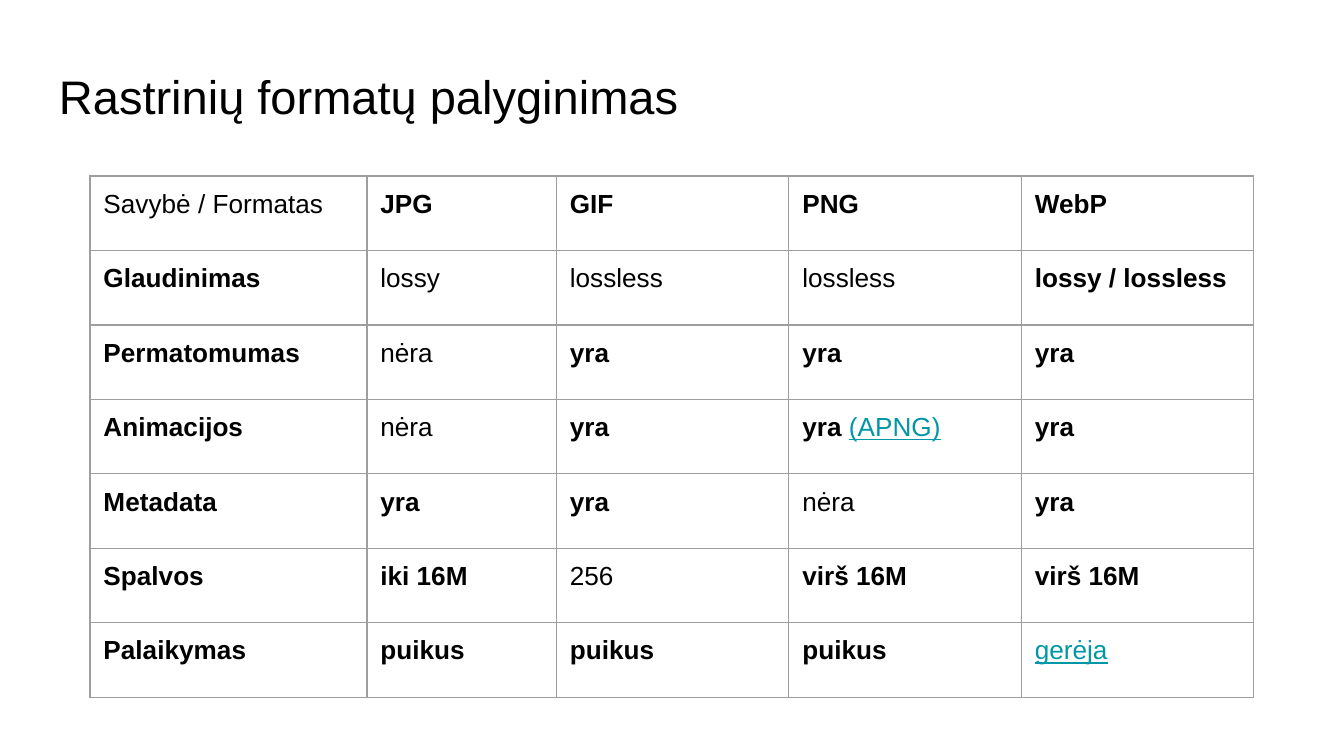
from lxml import etree
from pptx import Presentation
from pptx.dml.color import RGBColor
from pptx.enum.text import MSO_ANCHOR
from pptx.oxml.ns import qn
from pptx.util import Inches, Pt

TOP = MSO_ANCHOR.TOP
BLACK = RGBColor(0x00, 0x00, 0x00)
TEAL = RGBColor(0x00, 0x97, 0xA7)
GREY = RGBColor(0x9E, 0x9E, 0x9E)
WHITE = RGBColor(0xFF, 0xFF, 0xFF)
INSET = Inches(0.1)

# Each cell is a text, or a tuple of texts with one format each
ROWS = [
    ["Savybė / Formatas", "JPG", "GIF", "PNG", "WebP"],
    ["Glaudinimas", "lossy", "lossless", "lossless", "lossy / lossless"],
    ["Permatomumas", "nėra", "yra", "yra", "yra"],
    ["Animacijos", "nėra", "yra", ("yra ", "(APNG)"), "yra"],
    ["Metadata", "yra", "yra", "nėra", "yra"],
    ["Spalvos", "iki 16M", "256", "virš 16M", "virš 16M"],
    ["Palaikymas", "puikus", "puikus", "puikus", "gerėja"],
]
PLAIN = {"Savybė / Formatas", "lossy", "lossless", "nėra", "256"}
LINKED = {"(APNG)", "gerėja"}
COLS = [2.06, 1.41, 1.73, 1.73, 1.73]
ROW_H = 3.88 / len(ROWS)


def add_text(p, text, size=14, bold=False, underline=False, color=BLACK):
    r = p.add_run()
    r.text = text
    r.font.name = "Arial"
    r.font.size = Pt(size)
    r.font.bold = bold
    r.font.underline = underline
    r.font.color.rgb = color


def add_borders(cell):
    tcPr = cell._tc.get_or_add_tcPr()
    for i, side in enumerate(("lnL", "lnR", "lnT", "lnB")):
        ln = etree.Element(qn(f"a:{side}"), w=str(Pt(0.75)))
        fill = etree.SubElement(ln, qn("a:solidFill"))
        etree.SubElement(fill, qn("a:srgbClr"), val=str(GREY))
        tcPr.insert(i, ln)


# Widescreen page, 16 by 9
prs = Presentation()
prs.slide_width = Inches(10)
prs.slide_height = Inches(10 * 9 / 16)
s = prs.slides.add_slide(prs.slide_layouts[6])
s.background.fill.solid()
s.background.fill.fore_color.rgb = WHITE

# Title
sp = s.shapes.add_textbox(Inches(0.34), Inches(0.4), Inches(9.32), Inches(0.63))
tf = sp.text_frame
tf.word_wrap = True
tf.vertical_anchor = TOP
tf.margin_left = tf.margin_right = tf.margin_top = tf.margin_bottom = INSET
add_text(tf.paragraphs[0], "Rastrinių formatų palyginimas", size=25.2)

# Comparison table
table = s.shapes.add_table(len(ROWS), len(COLS), Inches(0.67), Inches(1.31),
                           Inches(sum(COLS)), Inches(ROW_H * len(ROWS))).table
table.first_row = table.horz_banding = False
for col, width in zip(table.columns, COLS):
    col.width = Inches(width)

for row, values in zip(table.rows, ROWS):
    row.height = Inches(ROW_H)
    for cell, value in zip(row.cells, values):
        cell.fill.background()
        cell.vertical_anchor = TOP
        cell.margin_left = cell.margin_right = INSET
        cell.margin_top = cell.margin_bottom = INSET
        add_borders(cell)
        for text in value if isinstance(value, tuple) else (value,):
            linked = text in LINKED
            add_text(cell.text_frame.paragraphs[0], text,
                     bold=not linked and text not in PLAIN,
                     underline=linked, color=TEAL if linked else BLACK)

prs.save("out.pptx")
